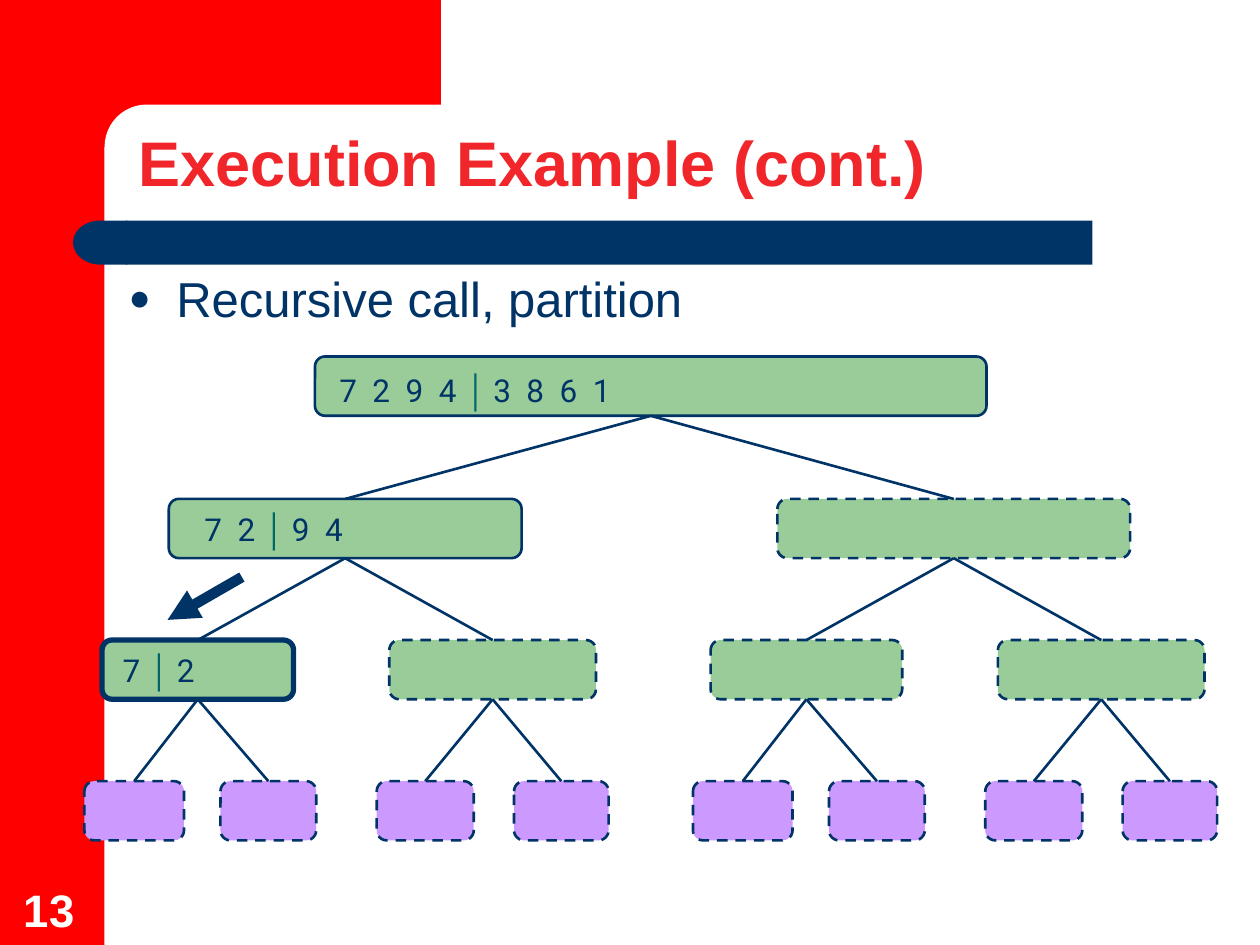
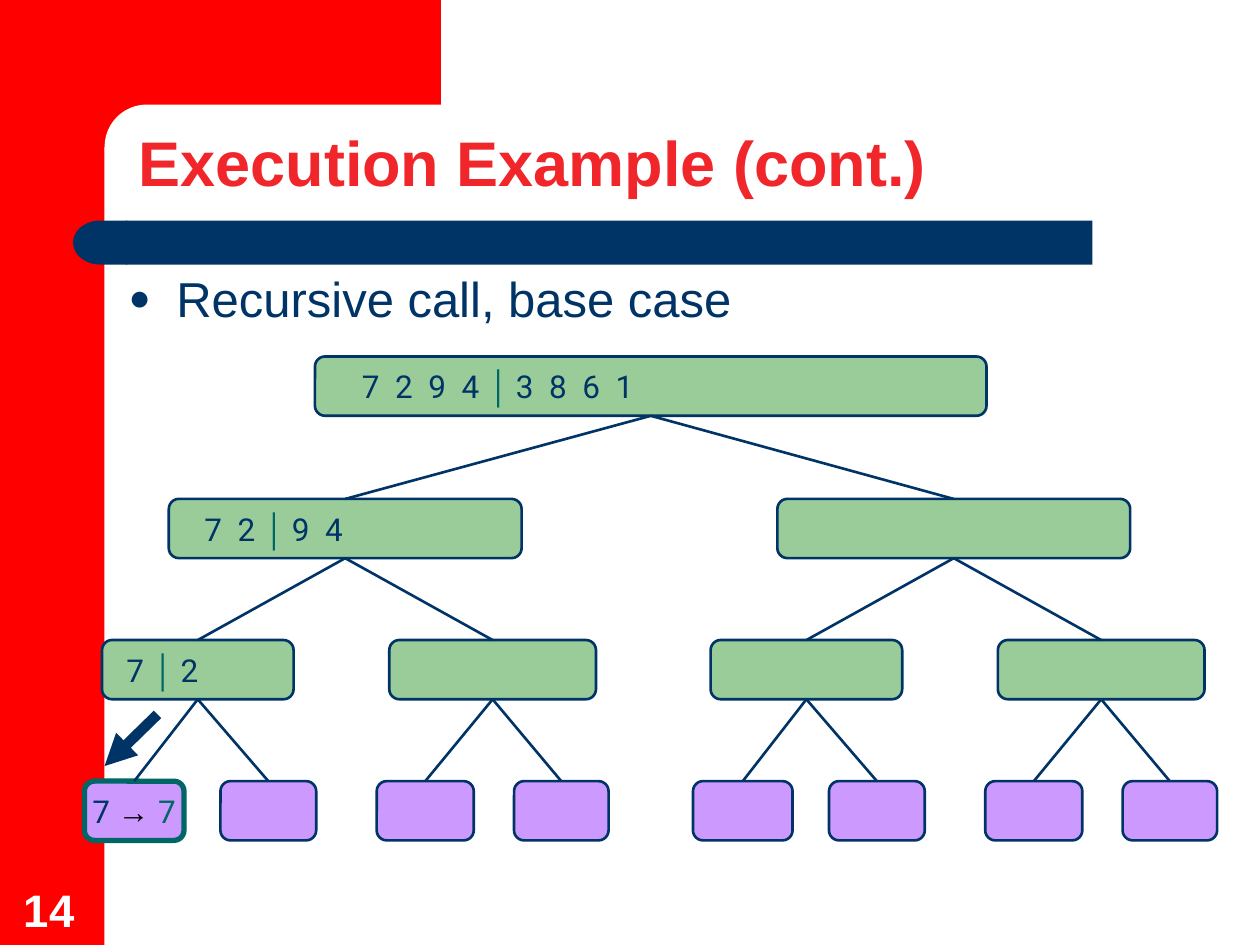
"""Build two merge-sort execution slides that share one recursion tree."""
from dataclasses import dataclass

from lxml import etree
from pptx import Presentation
from pptx import util as u
from pptx.dml.color import RGBColor
from pptx.enum import dml, shapes, text
from pptx.oxml.ns import qn


@dataclass(frozen=True)
class Theme:
    """Colours, fonts and sizes of the deck."""
    red: str = "FF0000"
    title: str = "F0262B"
    navy: str = "003366"
    teal: str = "006666"
    green: str = "99CC99"
    violet: str = "CC99FF"
    white: str = "FFFFFF"
    black: str = "000000"
    font: str = "Arial"
    digits: str = "Roboto"
    title_size: int = 36
    body_size: int = 28
    number_size: int = 26
    node_size: int = 18
    thin: float = 1.5
    thick: float = 3
    arrow: float = 6


THEME = Theme()
PRESET = shapes.MSO_SHAPE
ROW_TOPS = (2.83, 3.96, 5.08, 6.2)
NODE_HEIGHT = 0.47
ROOT = (2.5, 5.33)
LEFT_HALF = (
    ((1.34, 2.8),),
    ((0.81, 1.52), (3.09, 1.64)),
    ((0.67, 0.79), (1.75, 0.76), (2.99, 0.77), (4.08, 0.75)),
)
HALF_SHIFT = 4.83
DIGIT_SPACING = 220
BAR_SPACING = -130


def apply(target, values):
    """Set every attribute named in values on target."""
    for name, value in values.items():
        setattr(target, name, value)


def inches(*lengths):
    """Convert plain numbers to lengths."""
    return [u.Inches(length) for length in lengths]


def add_span(para, words, size, color, font=THEME.font, bold=False, spacing=0):
    """Append one formatted run to a paragraph."""
    span = para.add_run()
    span.text = words
    apply(span.font, {"name": font, "size": u.Pt(size), "bold": bold})
    span.font.color.rgb = RGBColor.from_string(color)
    if spacing:
        span.font._element.set("spc", str(spacing))


def add_block(page, preset, place, fill, adjust=None):
    """Add a filled preset shape without outline or shadow."""
    block = page.shapes.add_shape(preset, *inches(*place))
    block.shadow.inherit = False
    block.fill.solid()
    block.fill.fore_color.rgb = RGBColor.from_string(fill)
    block.line.fill.background()
    if adjust is not None:
        block.adjustments[0] = adjust
    return block


def style_line(line, color, width, dashed=False):
    """Give an outline or connector its colour, width and dash."""
    line.color.rgb = RGBColor.from_string(color)
    line.width = u.Pt(width)
    if dashed:
        line.dash_style = dml.MSO_LINE.DASH


def add_backdrop(page):
    """Draw the red corner once and move it to the layout."""
    blocks = [
        add_block(page, PRESET.RECTANGLE, (0, 0, 0.83, 7.5), THEME.red),
        add_block(page, PRESET.RECTANGLE, (0.75, 0, 2.75, 1.17), THEME.red),
        add_block(page, PRESET.ROUNDED_RECTANGLE, (0.83, 0.83, 5.58, 0.67),
                  THEME.white, 0.5),
    ]
    tree = page.slide_layout.shapes._spTree
    for index, block in enumerate(blocks, start=2):
        tree.insert(index, block._element)


def add_title_bar(page):
    """Draw the navy bar with its round left end."""
    add_block(page, PRESET.RECTANGLE, (1, 1.75, 7.67, 0.35), THEME.navy)
    cap = add_block(page, PRESET.FLOWCHART_DELAY, (0.58, 1.75, 0.43, 0.35),
                    THEME.navy)
    cap.rotation = 180


def place_text(box, place, anchor):
    """Move a text shape and return its first paragraph."""
    names = ("left", "top", "width", "height")
    apply(box, dict(zip(names, inches(*place))))
    apply(box.text_frame, {"word_wrap": True, "vertical_anchor": anchor,
                           "auto_size": text.MSO_AUTO_SIZE.NONE})
    para = box.text_frame.paragraphs[0]
    para.alignment = text.PP_ALIGN.LEFT
    return para


def add_bullet(para):
    """Give a paragraph a hanging round bullet."""
    props = para._p.get_or_add_pPr()
    props.set("marL", str(u.Inches(0.38)))
    props.set("indent", str(-u.Inches(0.38)))
    color = etree.SubElement(props, qn("a:buClr"))
    etree.SubElement(color, qn("a:srgbClr"), val=THEME.navy)
    etree.SubElement(props, qn("a:buSzPct"), val="75000")
    etree.SubElement(props, qn("a:buFont"), typeface=THEME.font)
    etree.SubElement(props, qn("a:buChar"), char="●")


def add_texts(page, number, step):
    """Fill the title, the bullet and the page number."""
    anchor = text.MSO_ANCHOR
    para = place_text(page.shapes.title, (1, 1, 8.75, 0.64), anchor.BOTTOM)
    para.line_spacing = 0.9
    add_span(para, "Execution Example (cont.)", THEME.title_size, THEME.title,
             bold=True)
    para = place_text(page.placeholders[1], (0.92, 2.08, 8.5, 0.57), anchor.TOP)
    para.space_before = u.Pt(7)
    add_bullet(para)
    add_span(para, step, THEME.body_size, THEME.navy)
    place = (0.09, 6.94, 0.64, 0.54)
    box = page.shapes.add_textbox(*inches(*place))
    para = place_text(box, place, anchor.BOTTOM)
    add_span(para, str(number), THEME.number_size, THEME.white, bold=True)


def add_node(page, level, left, width, dashed):
    """Add one rounded box of the recursion tree."""
    fill = THEME.violet if level == len(LEFT_HALF) else THEME.green
    node = add_block(page, PRESET.ROUNDED_RECTANGLE,
                     (left, ROW_TOPS[level], width, NODE_HEIGHT), fill, 0.17)
    style_line(node.line, THEME.navy, THEME.thin, dashed)
    return node


def add_line(page, start, end, width):
    """Add a straight navy connector without shadow."""
    line = page.shapes.add_connector(shapes.MSO_CONNECTOR.STRAIGHT,
                                     *inches(*start, *end))
    style_line(line.line, THEME.navy, width)
    etree.SubElement(line._element.spPr, qn("a:effectLst"))
    return line


def add_arrow(page, start, end):
    """Add the thick arrow that marks the current call."""
    arrow = add_line(page, start, end, THEME.arrow)
    etree.SubElement(arrow.line._get_or_add_ln(), qn("a:tailEnd"),
                     type="triangle")


def add_tree(page, dashed):
    """Draw all nodes and edges and return the nodes by level."""
    levels = [[add_node(page, 0, *ROOT, False)]]
    for level, half in enumerate(LEFT_HALF, start=1):
        row = half + tuple((left + HALF_SHIFT, width) for left, width in half)
        levels.append([
            add_node(page, level, left, width,
                     dashed and (index > 0 or level == len(LEFT_HALF)))
            for index, (left, width) in enumerate(row)])
    for parents, children in zip(levels, levels[1:]):
        for index, child in enumerate(children):
            edge = add_line(page, (0, 0), (1, 1), THEME.thin)
            edge.begin_connect(parents[index // 2], 2)
            edge.end_connect(child, 0)
    return levels


def node_para(node, indent, drop=0):
    """Prepare a node for text that starts at the given indent."""
    frame = node.text_frame
    apply(frame, {"word_wrap": True, "vertical_anchor": text.MSO_ANCHOR.MIDDLE,
                  "margin_left": u.Inches(indent), "margin_right": 0,
                  "margin_top": u.Inches(drop), "margin_bottom": 0})
    para = frame.paragraphs[0]
    para.alignment = text.PP_ALIGN.LEFT
    return para


def label_split(node, left, right, indent, drop=0):
    """Write two digit groups with a teal bar between them."""
    para = node_para(node, indent, drop)
    digits = {"size": THEME.node_size, "color": THEME.navy,
              "font": THEME.digits, "spacing": DIGIT_SPACING}
    add_span(para, left, **digits)
    add_span(para, " │ ", THEME.node_size, THEME.teal, bold=True,
             spacing=BAR_SPACING)
    add_span(para, right, **digits)


def label_base_case(node):
    """Write the sorted result of a single element."""
    para = node_para(node, 0.04)
    size = THEME.node_size
    add_span(para, "7 ", size, THEME.navy, THEME.digits)
    add_span(para, "→ ", size, THEME.black, bold=True)
    add_span(para, "7", size, THEME.teal, THEME.digits)
    style_line(node.line, THEME.teal, THEME.thick)


def add_page(deck, number, step, dashed, root_indent, root_drop, pair_indent):
    """Add a slide with its texts and labelled tree."""
    page = deck.slides.add_slide(deck.slide_layouts[1])
    add_title_bar(page)
    add_texts(page, number, step)
    levels = add_tree(page, dashed)
    label_split(levels[0][0], "7 2 9 4", "3 8 6 1", root_indent, root_drop)
    label_split(levels[1][0], "7 2", "9 4", 0.26)
    label_split(levels[2][0], "7", "2", pair_indent)
    return page, levels


def main():
    """Build and save the deck."""
    deck = Presentation()
    apply(deck, {"slide_width": u.Inches(10), "slide_height": u.Inches(7.5)})

    page, levels = add_page(deck, 13, "Recursive call, partition", True,
                            0.17, 0.06, 0.14)
    add_backdrop(page)
    style_line(levels[2][0].line, THEME.navy, THEME.thick)
    add_arrow(page, (1.92, 4.58), (1.33, 4.92))

    page, levels = add_page(deck, 14, "Recursive call, base case", False,
                            0.35, 0, 0.17)
    label_base_case(levels[3][0])
    add_arrow(page, (1.25, 5.67), (0.83, 6.08))

    deck.save("out.pptx")


if __name__ == "__main__":
    main()
